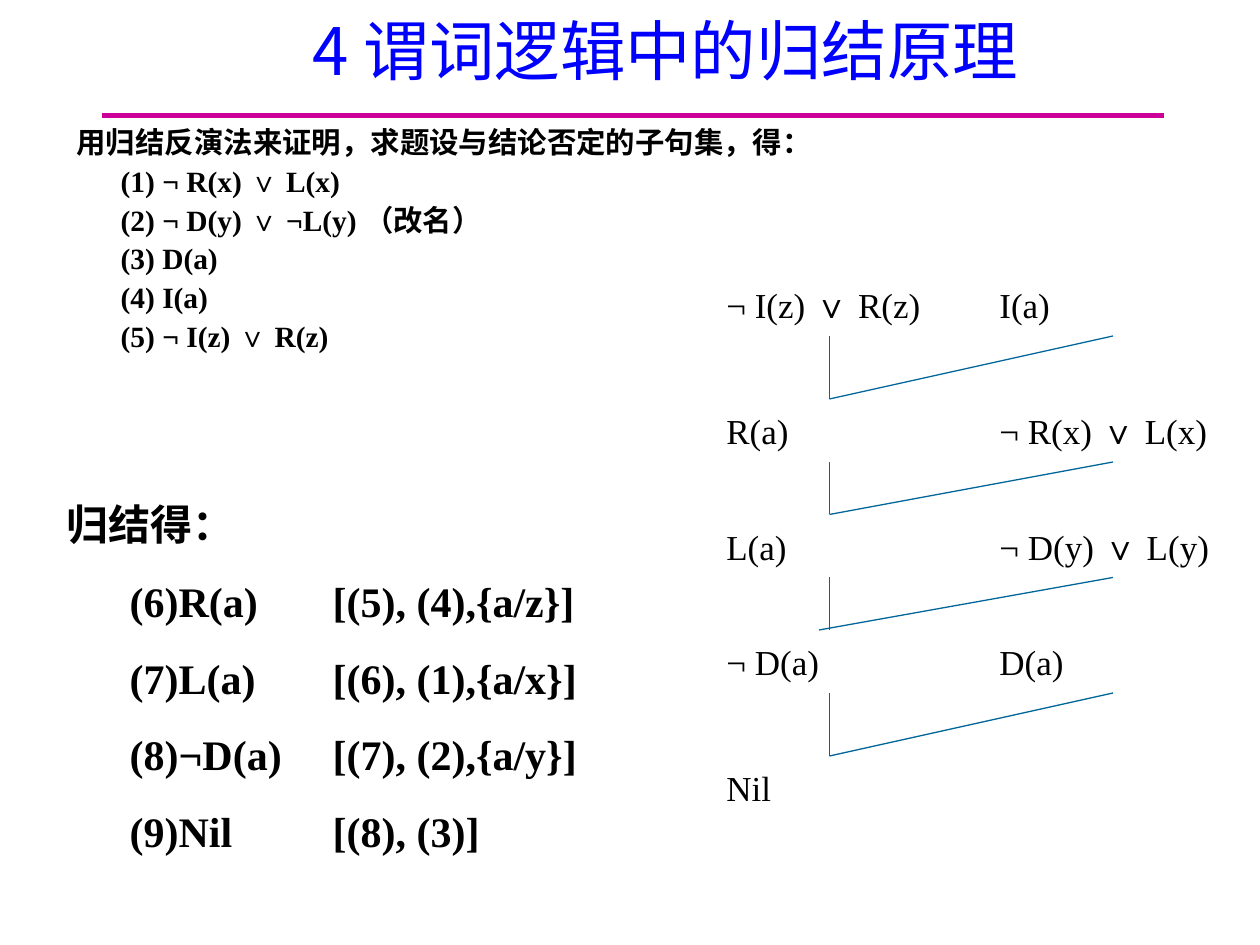
from dataclasses import dataclass

from lxml.etree import SubElement
from pptx import Presentation
from pptx.dml.color import RGBColor
from pptx.enum.shapes import MSO_CONNECTOR
from pptx.enum.text import MSO_ANCHOR, PP_ALIGN
from pptx.oxml.ns import qn
from pptx.util import Pt


@dataclass(frozen=True)
class Theme:
    title: str = "0000FF"
    text: str = "000000"
    rule: str = "CC0099"
    branch: str = "006699"
    latin: str = "Times New Roman"
    symbol: str = "Arial"
    cjk: str = "Noto Sans CJK SC"
    title_size: float = 37.4
    clause_size: float = 16.8
    step_size: float = 24
    tree_size: float = 20


THEME = Theme()

CLAUSES = [
    "用归结反演法来证明，求题设与结论否定的子句集，得：",
    "\t(1) ¬ R(x) ∨ L(x)",
    "\t(2) ¬ D(y) ∨ ¬L(y) （改名）",
    "\t(3) D(a)",
    "\t(4) I(a)",
    "\t(5) ¬ I(z) ∨ R(z)",
]
STEPS = [
    "归结得：",
    "\t(6)R(a)\t[(5), (4),{a/z}]",
    "\t(7)L(a)\t[(6), (1),{a/x}]",
    "\t(8)¬D(a)\t[(7), (2),{a/y}]",
    "\t(9)Nil\t[(8), (3)]",
]
# Each row: top offset, left clause, right clause, foot of the slanted branch
TREE = [
    (0, "¬ I(z) ∨ R(z)", "I(a)", 66),
    (72, "R(a)", "¬ R(x) ∨ L(x)", 66),
    (138, "L(a)", "¬ D(y) ∨ L(y)", 60),
    (204, "¬ D(a)", "D(a)", 66),
    (276, "Nil", None, None),
]


def add_run(p, text, font, size, color, bold):
    r = p.add_run()
    r.text = text
    r.font.name = font
    r.font.size = Pt(size)
    r.font.bold = bold
    r.font.color.rgb = RGBColor.from_string(color)
    SubElement(r.font._element, qn("a:ea"), typeface=THEME.cjk)


def add_text(slide, box, lines, size, color=THEME.text, font=THEME.latin, bold=False,
             align=PP_ALIGN.LEFT, anchor=MSO_ANCHOR.TOP, wrap=True, spacing=1.0,
             before=0, tabs=()):
    """Add one paragraph per line, setting every ∨ in the symbol font."""
    tf = slide.shapes.add_textbox(*map(Pt, box)).text_frame
    tf.word_wrap = wrap
    tf.vertical_anchor = anchor
    for i, line in enumerate(lines):
        p = tf.add_paragraph() if i else tf.paragraphs[0]
        p.alignment = align
        p.line_spacing = spacing
        p.space_before = Pt(before if i else 0)
        if tabs:
            stops = SubElement(p._p.get_or_add_pPr(), qn("a:tabLst"))
            for pos in tabs:
                SubElement(stops, qn("a:tab"), pos=str(Pt(pos)), algn="l")
        for j, part in enumerate(line.split("∨")):
            if j:
                add_run(p, "∨", THEME.symbol, size, color, bold)
            add_run(p, part, font, size, color, bold)


def add_line(slide, x1, y1, x2, y2, color, width):
    s = slide.shapes.add_connector(MSO_CONNECTOR.STRAIGHT, Pt(x1), Pt(y1), Pt(x2), Pt(y2))
    s.line.color.rgb = RGBColor.from_string(color)
    s.line.width = Pt(width)
    SubElement(s._element.spPr, qn("a:effectLst"))


def add_header(slide, left, top, width, height):
    add_line(slide, left + 28, top + 59, left + 635, top + 59, THEME.rule, 3)
    add_text(slide, (left, top, width, height), ["4 谓词逻辑中的归结原理"],
             THEME.title_size, color=THEME.title, font=THEME.cjk,
             align=PP_ALIGN.CENTER, spacing=0.9)


def add_clauses(slide, *box):
    add_text(slide, box, CLAUSES, THEME.clause_size, bold=True, spacing=0.8,
             before=6, tabs=(25.2,))


def add_steps(slide, *box):
    add_text(slide, box, STEPS, THEME.step_size, bold=True, before=15, tabs=(36, 152))


def add_tree(slide, left, top):
    """Draw the resolution tree: two parent clauses per row, joined at the next row."""
    width, height, right, stem, branch = 138, 36, 156, 66, 228
    for i, (dy, parent, other, foot) in enumerate(TREE):
        y = top + dy
        for dx, clause in ((0, parent), (right, other)):
            if clause:
                add_text(slide, (left + dx, y, width, height), [clause],
                         THEME.tree_size, anchor=MSO_ANCHOR.MIDDLE, wrap=False)
        if other:
            below = top + TREE[i + 1][0]
            for start, end in ((stem, stem), (branch, foot)):
                add_line(slide, left + start, y + height, left + end, below,
                         THEME.branch, 0.75)


def main():
    prs = Presentation()
    prs.slide_width, prs.slide_height = Pt(720), Pt(540)
    slide = prs.slides.add_slide(prs.slide_layouts[6])
    add_header(slide, 30.2, 7.2, 700.6, 53.3)
    add_clauses(slide, 36.7, 71.3, 648, 164.2)
    add_steps(slide, 31, 281.5, 360, 211.7)
    add_tree(slide, 408, 156)
    prs.save("out.pptx")


if __name__ == "__main__":
    main()
